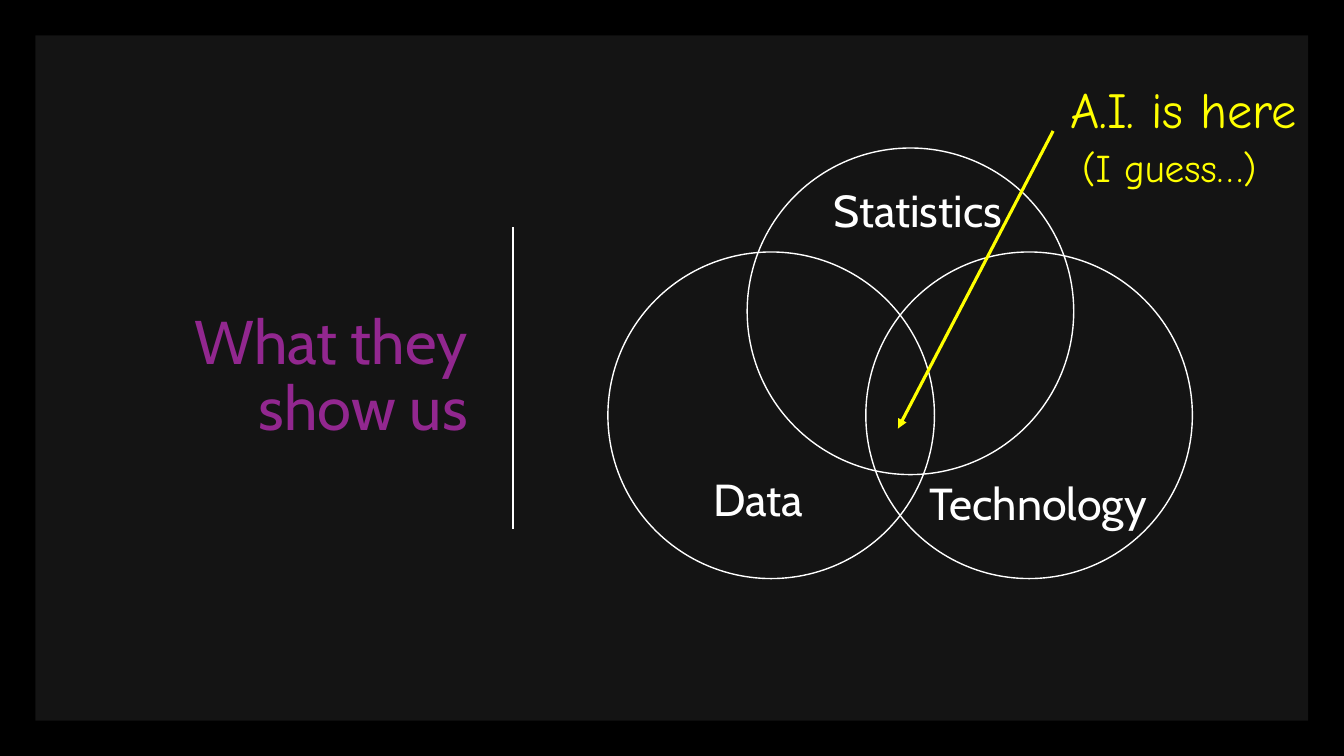
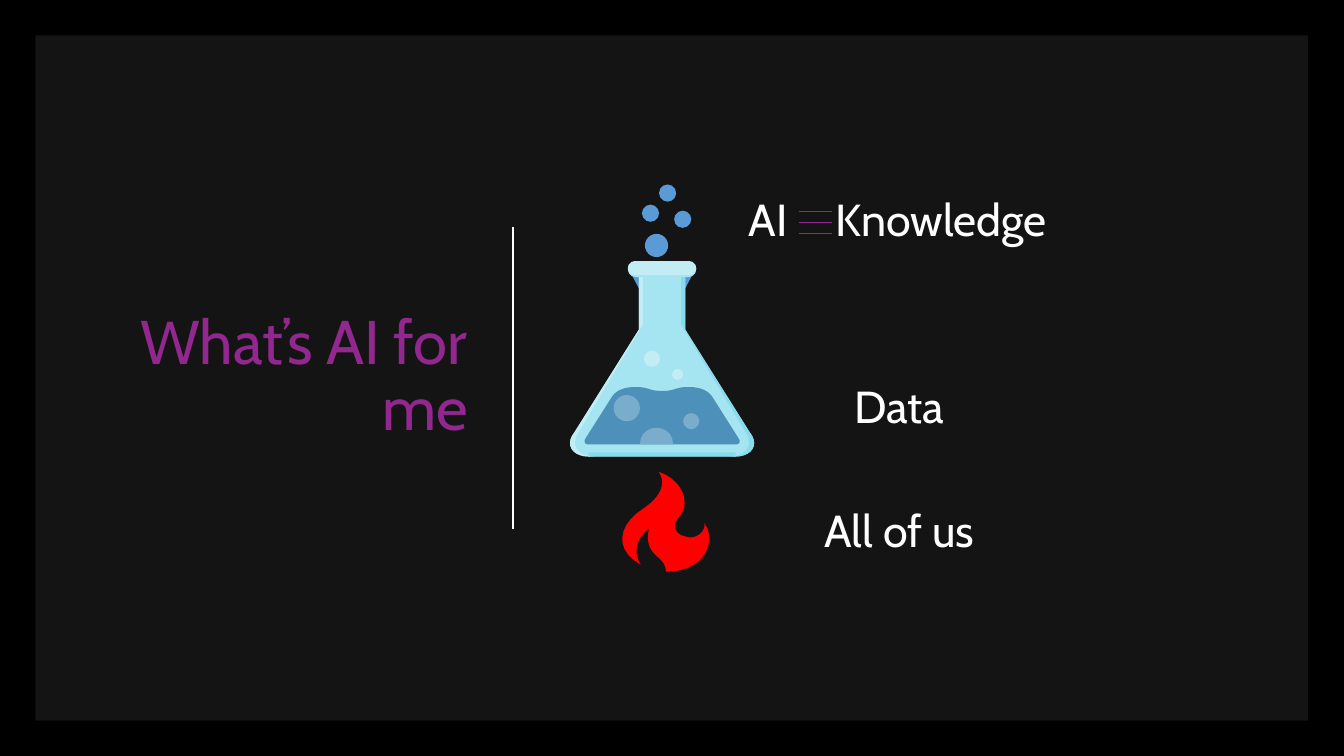
from lxml.etree import SubElement
from pptx import Presentation
from pptx.dml.color import RGBColor
from pptx.enum.shapes import MSO_CONNECTOR, MSO_SHAPE
from pptx.enum.text import MSO_ANCHOR, MSO_AUTO_SIZE, PP_ALIGN
from pptx.oxml.ns import qn
from pptx.util import Cm, Pt

LINE, RECT, OVAL = MSO_CONNECTOR.STRAIGHT, MSO_SHAPE.RECTANGLE, MSO_SHAPE.OVAL
ROUND = MSO_SHAPE.ROUNDED_RECTANGLE
LEFT, CENTER, RIGHT = PP_ALIGN.LEFT, PP_ALIGN.CENTER, PP_ALIGN.RIGHT
MIDDLE, NO_FIT = MSO_ANCHOR.MIDDLE, MSO_AUTO_SIZE.NONE
TITLE_ONLY = 5

COLORS = {
    "black": "000000", "white": "FFFFFF", "purple": "92278F",
    "yellow": "FFFF00", "red": "FF0000", "bubble": "5B9BD5",
    "glass": "A5E4F1", "light": "C3EDF5", "shade": "87DBEC",
    "liquid": "4D91BB", "spot": "7AACCC",
}

LABEL = {"name": "Cabin", "size": Pt(32)}
HEAD = {"name": "Cabin", "size": Pt(44)}
NOTE = {"name": "Comic Neue", "size": Pt(36)}
ASIDE = {"name": "Comic Neue", "size": Pt(28)}

# Outlines: a pair is a corner, six numbers are a Bézier curve.
# Halves of the flask are mirrored about its axis.
FLASK_GRID, FLAME_GRID, AXIS = 182, 94, 92
COLLAR = [(61, 88), (69, 103)]
BODY = [(69, 76), (69, 144), (5, 246), (-5, 258, 3, 270, 19, 270)]
RIM = [(24, 270), (8, 270, 1, 258, 9, 246), (73, 139), (73, 76)]
LIQUID = [(92, 205), (79, 205, 79, 201, 66, 201), (57, 201, 47, 203, 42, 211),
          (16, 252), (14, 255, 15, 258, 19, 258)]
DOME = [(70, 258), (70, 236, 103, 236, 103, 258)]
FLAME = [(42, 0), (65, 8, 75, 31, 61, 46), (55, 53, 58, 62, 68, 64),
         (78, 68, 89, 59, 87, 51), (99, 66, 90, 99, 49, 99),
         (49, 82, 26, 85, 32, 56), (15, 70, 19, 85, 24, 92),
         (-2, 78, 0, 53, 27, 36), (36, 30, 52, 16, 42, 0)]
DOTS = {"bubble": [(89, 0, 17), (104, 26, 17), (72, 20, 17), (75, 49, 23)],
        "spot": [(113, 227, 16), (44, 209, 26)],
        "light": [(74, 165, 16), (102, 183, 11)]}


def tint(name):
    return RGBColor.from_string(COLORS[name])


def apply(target, values):
    for key, value in values.items():
        setattr(target, key, value)


def paint(shape, fill=None, edge=None):
    """Set a plain fill and a 1 pt edge, either of which may be absent."""
    shape.shadow.inherit = False
    for part, color in ((shape.fill, fill), (shape.line.fill, edge)):
        if color:
            part.solid()
            part.fore_color.rgb = tint(color)
        else:
            part.background()
    if edge:
        shape.line.width = Pt(1)


def block(slide, kind, x, y, w, h, **look):
    shape = slide.shapes.add_shape(kind, Cm(x), Cm(y), Cm(w), Cm(h))
    paint(shape, **look)
    return shape


def stroke(slide, start, end, color, width):
    line = slide.shapes.add_connector(LINE, *map(Cm, (*start, *end)))
    line.line.color.rgb = tint(color)
    line.line.width = Pt(width)
    SubElement(line._element.spPr, qn("a:effectLst"))
    return line


def write(frame, text, style, color, align):
    frame.text = text
    para = frame.paragraphs[0]
    para.alignment = align
    apply(para.font, style)
    para.font.color.rgb = tint(color)
    return para


def label(slide, text, x, y, w, style=LABEL, color="white", align=LEFT):
    box = slide.shapes.add_textbox(Cm(x), Cm(y), Cm(w), Cm(1.63))
    box.text_frame.word_wrap = True
    write(box.text_frame, text, style, color, align)


def trace(outline, steps=10):
    """Turn an outline into points, sampling its curves."""
    points = [outline[0]]
    for part in outline[1:]:
        if len(part) == 2:
            points.append(part)
            continue
        knots = [points[-1], part[:2], part[2:4], part[4:]]
        for step in range(1, steps + 1):
            t = step / steps
            mix = ((1 - t) ** 3, 3 * t * (1 - t) ** 2,
                   3 * t * t * (1 - t), t ** 3)
            points.append(tuple(sum(m * k[axis] for m, k in zip(mix, knots))
                                for axis in (0, 1)))
    return points


def flip(points):
    return [(2 * AXIS - x, y) for x, y in reversed(points)]


def carve(slide, points, x, y, unit, color):
    spots = [(Cm(x + px * unit), Cm(y + py * unit)) for px, py in points]
    path = slide.shapes.build_freeform(*spots[0])
    path.add_line_segments(spots[1:])
    paint(path.convert_to_shape(), color)


def start(deck, text):
    """Add a slide with the shared panel, title and divider."""
    slide = deck.slides.add_slide(deck.slide_layouts[TITLE_ONLY])
    slide.background.fill.solid()
    slide.background.fill.fore_color.rgb = tint("black")

    panel = block(slide, RECT, 0.89, 0.89, 32.08, 17.27, fill="white")
    color = panel._element.spPr.find(qn("a:solidFill"))[0]
    SubElement(color, qn("a:alpha"), val="8000")
    slide.shapes._spTree.insert(2, panel._element)

    title = slide.shapes.title
    apply(title, {"left": Cm(2.34), "top": Cm(2.67),
                  "width": Cm(9.7), "height": Cm(13.69)})
    apply(title.text_frame, {"vertical_anchor": MIDDLE, "word_wrap": True,
                             "auto_size": NO_FIT})
    write(title.text_frame, text, HEAD, "purple", RIGHT).line_spacing = 0.9
    stroke(slide, (12.93, 5.72), (12.93, 13.34), "white", 1.5)
    return slide


def venn(slide, x, y, size):
    for dx, dy in ((0, 2.62), (6.5, 2.62), (3.51, 0)):
        block(slide, OVAL, x + dx, y + dy, size, size, edge="white")
    for text, dx, dy, w in (("Data", 2.41, 8.03, 4.37),
                            ("Statistics", 5.44, 0.76, 5.74),
                            ("Technology", 7.85, 8.13, 6.35)):
        label(slide, text, x + dx, y + dy, w)


def callout(slide, x, y):
    label(slide, "A.I. is here", x, y, 6.68, NOTE, "yellow")
    label(slide, "(I guess…)", x + 0.3, y + 1.63, 5.46, ASIDE, "yellow")
    arrow = stroke(slide, (x - 0.18, y + 1.45), (x - 4.09, y + 8.95),
                   "yellow", 2.25)
    SubElement(arrow.line._get_or_add_ln(), qn("a:tailEnd"), type="triangle")


def flask(slide, x, y, w):
    unit = w / FLASK_GRID

    def fit(kind, left, top, width, height, color):
        return block(slide, kind, x + left * unit, y + top * unit,
                     width * unit, height * unit, fill=color)

    collar, body, liquid = map(trace, (COLLAR, BODY, LIQUID))
    wall = trace(BODY + RIM)
    for color, points in (("bubble", collar + flip(collar)),
                          ("glass", body + flip(body)),
                          ("light", wall), ("shade", flip(wall)),
                          ("liquid", liquid + flip(liquid)),
                          ("spot", trace(DOME))):
        carve(slide, points, x, y, unit, color)
    fit(RECT, 19, 266, 146, 4, "shade")
    for height, color in ((16, "glass"), (14, "light")):
        fit(ROUND, 58, 76, 68, height, color).adjustments[0] = 0.5
    for color, dots in DOTS.items():
        for left, top, size in dots:
            fit(OVAL, left, top, size, size, color)


def flame(slide, x, y, w):
    carve(slide, trace(FLAME), x, y, w / FLAME_GRID, "red")


def legend(slide, x, y, w, pitch=1.57):
    """Label the parts of the flask on rows of equal pitch."""
    label(slide, "AI", x + 4.8, y, 2)
    label(slide, "Knowledge", x + 6.98, y, 6.4)
    for row, text in ((3, "Data"), (5, "All of us")):
        label(slide, text, x, y + row * pitch, w, align=CENTER)
    for bar in range(3):
        level = y + 0.63 + bar * 0.28
        stroke(slide, (x + 6.32, level), (x + 7.14, level), "purple", 1)


def main():
    deck = Presentation()
    apply(deck, {"slide_width": Cm(33.87), "slide_height": Cm(19.05)})

    slide = start(deck, "What they show us")
    venn(slide, 15.32, 3.73, 8.23)
    callout(slide, 26.72, 1.85)

    slide = start(deck, "What’s AI for me")
    flask(slide, 14.35, 4.65, 4.62)
    flame(slide, 15.54, 11.89, 2.39)
    legend(slide, 13.82, 4.7, 17.7)

    deck.save("out.pptx")


if __name__ == "__main__":
    main()
